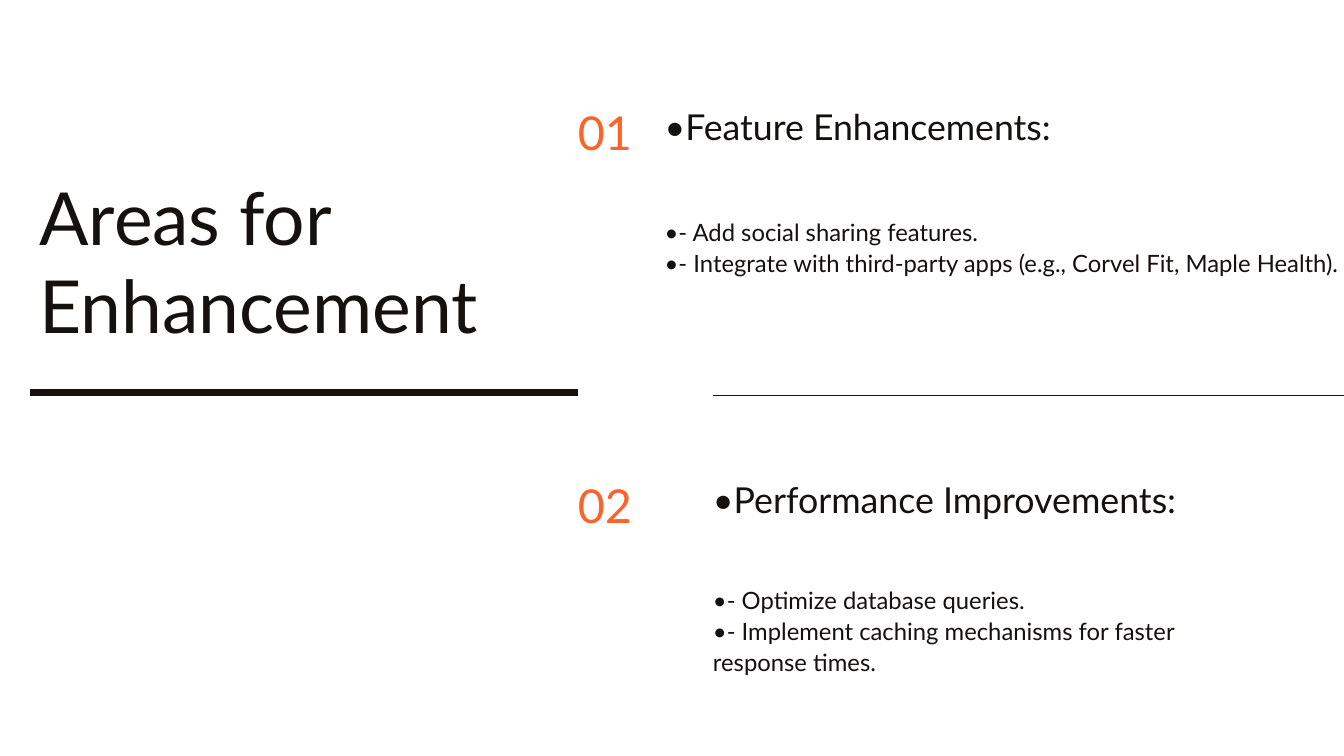
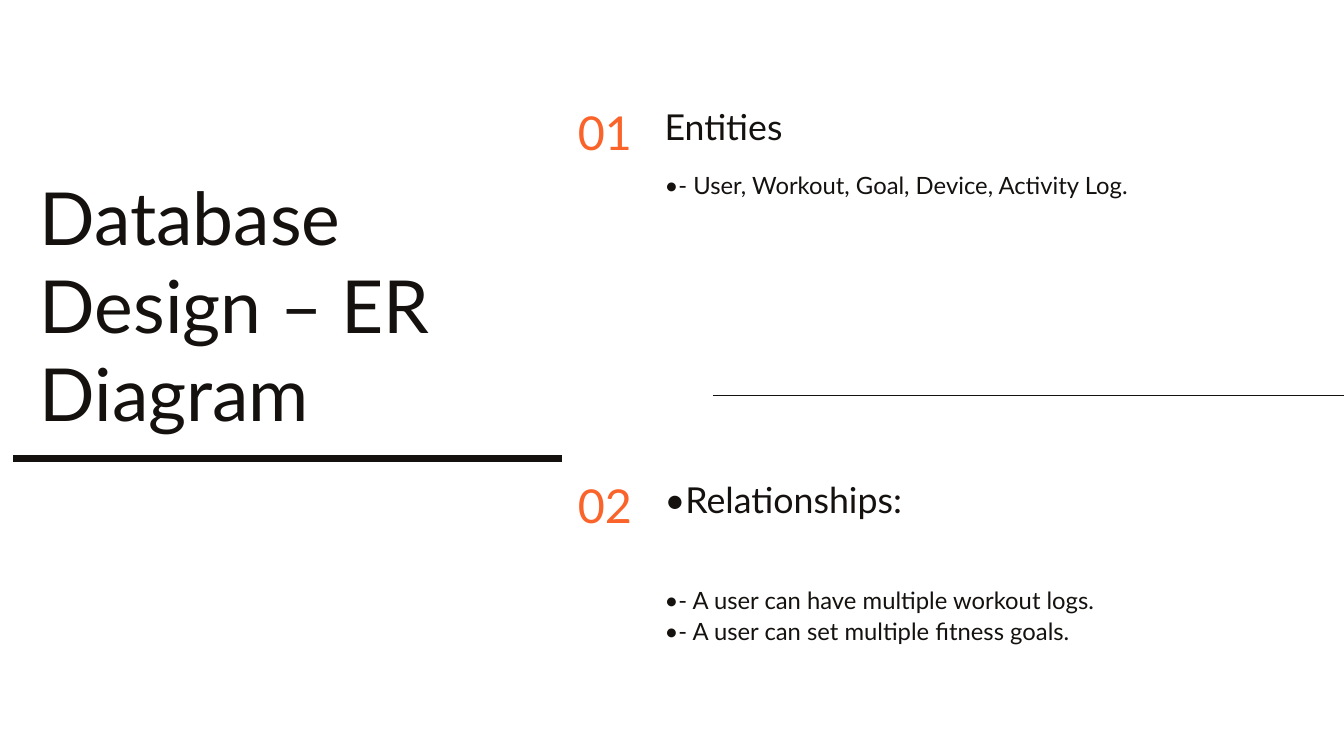
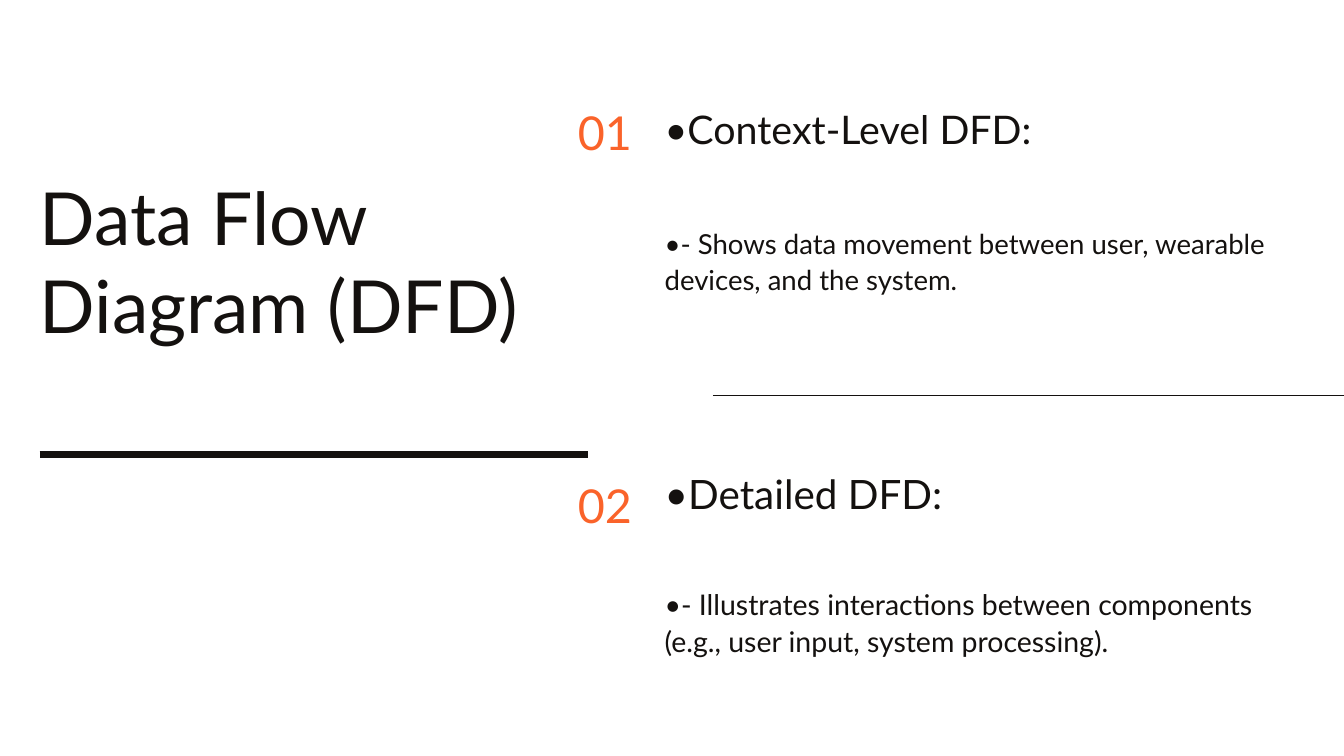
from dataclasses import dataclass

from lxml import etree
from pptx import Presentation
from pptx import util as u
from pptx.dml.color import RGBColor
from pptx.enum import shapes, text
from pptx.oxml.ns import qn

INK = "14110F"
ORANGE = "FA632A"
FONT = "Lato"

TITLE_LEFT, TITLE_TOP, TITLE_WIDTH = 0.59, 2.57, 7.4
TITLE_SIZE = 78.4
RULE_LENGTH = 8.16
NUMBER_LEFT = 8.6
NUMBER_TOPS = (1.54, 7.09)
DIVIDER_LEFT, DIVIDER_TOP = 10.61, 5.89
SLIDE_WIDTH, SLIDE_HEIGHT = 20, 11.25


@dataclass(frozen=True)
class Block:
    """One line or list of text with its place and type size."""
    lines: tuple[str, ...]
    top: float
    height: float
    size: float


@dataclass(frozen=True)
class Section:
    heading: Block
    body: Block
    left: float = 9.89
    width: float = 10.11


@dataclass(frozen=True)
class Topic:
    title: str
    title_height: float
    rule_left: float
    rule_top: float
    sections: tuple[Section, Section]


TOPICS = (
    Topic("Areas for Enhancement", 2.63, 0.44, 5.84, (
        Section(Block(("•Feature Enhancements:",), 1.51, 1.37, 38.2),
                Block(("•- Add social sharing features.",
                       "•- Integrate with third-party apps (e.g., Corvel Fit, Maple Health)."),
                      3.2, 1.8, 25.5)),
        Section(Block(("•Performance Improvements:",), 7.06, 1.36, 38.3),
                Block(("•- Optimize database queries.",
                       "•- Implement caching mechanisms for faster response times."),
                      8.68, 1.83, 25.5),
                left=10.61, width=7.93),
    )),
    Topic("Database Design – ER Diagram", 3.94, 0.2, 6.83, (
        Section(Block(("Entities",), 1.51, 0.68, 38.2),
                Block(("•- User, Workout, Goal, Device, Activity Log.",), 2.51, 0.9, 25.5)),
        Section(Block(("•Relationships:",), 7.06, 1.36, 38.3),
                Block(("•- A user can have multiple workout logs.",
                       "•- A user can set multiple fitness goals."),
                      8.68, 1.37, 25.5),
                width=9.22),
    )),
    Topic("Data Flow Diagram (DFD)", 2.63, 0.59, 6.77, (
        Section(Block(("•Context-Level DFD:",), 1.51, 1.49, 42.2),
                Block(("•- Shows data movement between user, wearable devices, and the system.",),
                      3.34, 1.58, 29.5)),
        Section(Block(("•Detailed DFD:",), 6.92, 1.54, 43.3),
                Block(("•- Illustrates interactions between components "
                       "(e.g., user input, system processing).",),
                      8.7, 1.62, 30.5),
                width=9.39),
    )),
)


def rgb(color: str) -> RGBColor:
    return RGBColor.from_string(color)


def add_text(parent, lines: tuple[str, ...], *, left: float, top: float, width: float,
             height: float, size: float, color: str = INK, leading: float = 1.2) -> None:
    """Add a text box; leading is the line pitch as a multiple of the type size."""
    box = parent.shapes.add_textbox(u.Inches(left), u.Inches(top),
                                    u.Inches(width), u.Inches(height))
    frame = box.text_frame
    frame.word_wrap = True
    frame.auto_size = text.MSO_AUTO_SIZE.NONE
    frame.margin_left = frame.margin_right = frame.margin_top = frame.margin_bottom = 0
    for index, line in enumerate(lines):
        para = frame.add_paragraph() if index else frame.paragraphs[0]
        para.line_spacing = u.Pt(round(size * leading, 1))
        span = para.add_run()
        span.text = line
        span.font.name = FONT
        span.font.size = u.Pt(size)
        span.font.color.rgb = rgb(color)


def add_rule(page, left: float, right: float, top: float, weight: float) -> None:
    rule = page.shapes.add_connector(shapes.MSO_CONNECTOR.STRAIGHT,
                                     u.Inches(left), u.Inches(top),
                                     u.Inches(right), u.Inches(top))
    rule.line.color.rgb = rgb(INK)
    rule.line.width = u.Pt(weight)
    etree.SubElement(rule._element.spPr, qn("a:effectLst"))


def add_section(page, section: Section) -> None:
    group = page.shapes.add_group_shape()
    for block in (section.heading, section.body):
        add_text(group, block.lines, left=section.left, top=block.top, width=section.width,
                 height=block.height, size=block.size, leading=1.3)


def add_topic(deck, topic: Topic) -> None:
    page = deck.slides.add_slide(deck.slide_layouts[6])
    for section in topic.sections:
        add_section(page, section)
    for number, top in enumerate(NUMBER_TOPS, start=1):
        add_text(page, (f"{number:02}",), left=NUMBER_LEFT, top=top, width=0.93, height=0.84,
                 size=50, color=ORANGE)
    add_rule(page, DIVIDER_LEFT, SLIDE_WIDTH, DIVIDER_TOP, 0.75)
    add_text(page, (topic.title,), left=TITLE_LEFT, top=TITLE_TOP, width=TITLE_WIDTH,
             height=topic.title_height, size=TITLE_SIZE)
    add_rule(page, topic.rule_left, topic.rule_left + RULE_LENGTH, topic.rule_top, 7.5)


def main() -> None:
    deck = Presentation()
    deck.slide_width = u.Inches(SLIDE_WIDTH)
    deck.slide_height = u.Inches(SLIDE_HEIGHT)
    for topic in TOPICS:
        add_topic(deck, topic)
    deck.save("out.pptx")


if __name__ == "__main__":
    main()
